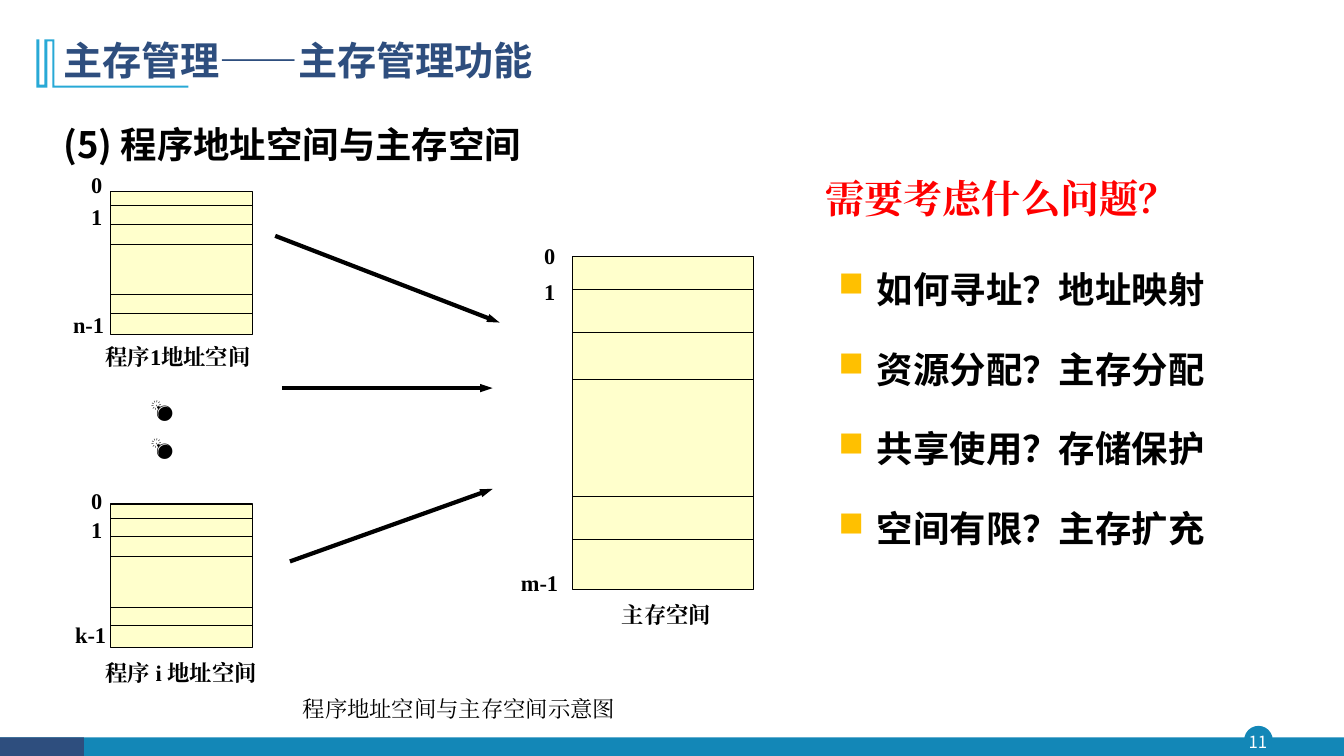
from dataclasses import dataclass

from lxml import etree
from pptx import Presentation
from pptx.dml.color import RGBColor
from pptx.enum.shapes import MSO_CONNECTOR, MSO_SHAPE
from pptx.enum.text import MSO_ANCHOR, PP_ALIGN
from pptx.oxml.ns import qn
from pptx.util import Emu, Inches, Pt

RECTANGLE, OVAL = MSO_SHAPE.RECTANGLE, MSO_SHAPE.OVAL
STRAIGHT = MSO_CONNECTOR.STRAIGHT
MIDDLE = MSO_ANCHOR.MIDDLE
CENTER, JUSTIFY = PP_ALIGN.CENTER, PP_ALIGN.JUSTIFY
SLIDE_WIDTH, SLIDE_HEIGHT = Emu(12192000), Inches(7.5)
COLUMNS, ROWS = 160, 90


@dataclass(frozen=True)
class Theme:
    sans: str = "Noto Sans CJK SC"
    serif: str = "Times New Roman"
    navy: str = "2E4E7E"
    teal: str = "1387B7"
    cyan: str = "28A9D6"
    cream: str = "FFFFCC"
    amber: str = "FFC000"
    red: str = "FF0000"
    black: str = "000000"
    white: str = "FFFFFF"
    title: int = 28
    body: int = 26
    label: int = 16
    number: int = 12
    body_line: int = 49


THEME = Theme()
DIVIDERS = (0.1, 0.23, 0.37, 0.72, 0.85)
LABEL_HEIGHT = 4.44


def col(count):
    return round(SLIDE_WIDTH * count / COLUMNS)


def row(count):
    return round(SLIDE_HEIGHT * count / ROWS)


def place(box):
    left, top, width, height = box
    return col(left), row(top), col(width), row(height)


def color(value):
    return RGBColor.from_string(value)


def apply(target, formats):
    for attribute, value in formats.items():
        setattr(target, attribute, value)


def add_bullet(paragraph):
    properties = paragraph._p.get_or_add_pPr()
    apply_indent(properties, Inches(0.38), -Inches(0.38))
    bullet_color = etree.SubElement(properties, qn("a:buClr"))
    etree.SubElement(bullet_color, qn("a:srgbClr"), val=THEME.amber)
    etree.SubElement(properties, qn("a:buSzPct"), val="95000")
    etree.SubElement(properties, qn("a:buChar"), char="■")


def apply_indent(properties, margin, indent):
    properties.set("marL", str(margin))
    properties.set("indent", str(indent))


def add_text(slide, box, lines, size=THEME.label, face=THEME.serif,
             ink=THEME.black, bold=True, bulleted=False, margin=0, gap=0,
             frame_format=None, paragraph_format=None):
    frame = slide.shapes.add_textbox(*place(box)).text_frame
    apply(frame, {"word_wrap": True, **(frame_format or {})})
    for index, line in enumerate(lines):
        paragraph = frame.add_paragraph() if index else frame.paragraphs[0]
        apply(paragraph, paragraph_format or {})
        if index and gap:
            paragraph.space_before = Pt(gap)
        if margin:
            apply_indent(paragraph._p.get_or_add_pPr(), Inches(margin), 0)
        if bulleted:
            add_bullet(paragraph)
        run = paragraph.add_run()
        run.text = line
        apply(run.font, {"size": Pt(size), "name": face, "bold": bold})
        run.font.color.rgb = color(ink)
        east_asian = etree.SubElement(run._r.get_or_add_rPr(), qn("a:ea"))
        east_asian.set("typeface", face)


def paint(shape, fill, outline=None, weight=0.75):
    shape.shadow.inherit = False
    shape.fill.solid()
    shape.fill.fore_color.rgb = color(fill)
    if outline:
        shape.line.color.rgb = color(outline)
        shape.line.width = Pt(weight)
    else:
        shape.line.fill.background()


def add_line(slide, start, end, weight=0.75, arrow=False):
    line = slide.shapes.add_connector(
        STRAIGHT, col(start[0]), row(start[1]), col(end[0]), row(end[1]))
    line.line.color.rgb = color(THEME.black)
    line.line.width = Pt(weight)
    if arrow:
        etree.SubElement(line.line._get_or_add_ln(), qn("a:tailEnd"),
                         type="triangle", w="sm", len="med")
    etree.SubElement(line._element.spPr, qn("a:effectLst"))


def add_footer(slide, box, number):
    left, top, width, height = box
    badge = (left + 148.2, top - 1.3, 3.24, 3.24)
    for kind, part, fill, outline in (
            (OVAL, badge, THEME.teal, THEME.teal),
            (RECTANGLE, box, THEME.teal, None),
            (RECTANGLE, (left, top, 10, height), THEME.navy, None)):
        paint(slide.shapes.add_shape(kind, *place(part)), fill, outline, 1)
    margins = dict.fromkeys(
        ("margin_left", "margin_top", "margin_right", "margin_bottom"), 0)
    add_text(slide, (left + 147.84, top - 1.3, 3.84, 3.7), [number],
             THEME.number, THEME.sans, THEME.white, False,
             frame_format={"vertical_anchor": MIDDLE, **margins},
             paragraph_format={"alignment": CENTER})


def add_heading(slide, box, title, subtitle):
    left, top, width, height = box
    corners = [(2.16, 0), (2.16, 5.52), (18.12, 5.52), (18.12, 5.76),
               (1.92, 5.76), (1.92, 0.24), (1.32, 0.24), (1.32, 5.76),
               (0, 5.76), (0, 0), (0.36, 0), (0.36, 5.4), (0.96, 5.4),
               (0.96, 0)]
    points = [(col(left + x), row(top + y)) for x, y in corners]
    builder = slide.shapes.build_freeform(*points[0])
    builder.add_line_segments(points[1:], close=True)
    paint(builder.convert_to_shape(), THEME.cyan)
    add_text(slide, (left + 2.04, top - 0.6, width, 6.72), [title],
             THEME.title, THEME.sans, THEME.navy,
             frame_format={"vertical_anchor": MIDDLE},
             paragraph_format={"line_spacing": 0.9})
    add_text(slide, (left + 2.04, top + 6.24, 85, 8.16), [subtitle],
             THEME.body, THEME.sans,
             paragraph_format={"alignment": JUSTIFY,
                               "line_spacing": Pt(THEME.body_line)})


def add_memory(slide, box, labels, caption, caption_box):
    left, top, width, height = box
    paint(slide.shapes.add_shape(RECTANGLE, *place(box)),
          THEME.cream, THEME.black)
    for share in DIVIDERS:
        level = top + height * share
        add_line(slide, (left, level), (left + width, level))
    for address, across, down, label_width in labels:
        add_text(slide, (left + across, top + down, label_width,
                         LABEL_HEIGHT), [address])
    across, down, caption_width = caption_box
    add_text(slide, (left + across, top + down, caption_width,
                     LABEL_HEIGHT), [caption])


def add_diagram(slide, box):
    left, top, width, height = box
    add_memory(slide, (left + 55, top + 7.68, 21.6, 39.72),
               [("0", -4.56, -2.28, 4.56), ("1", -4.56, 2.04, 4.56),
                ("m-1", -7.32, 36.72, 10.8)],
               "主存空间", (4.68, 40.44, 14.4))
    add_memory(slide, (left, top, 16.96, 17.04),
               [("0", -3.48, -3, 3.48), ("1", -3.48, 0.84, 3.48),
                ("n-1", -5.64, 13.68, 8.4)],
               "程序1地址空间", (-1.8, 17.52, 20.04))
    add_memory(slide, (left, top + 37.2, 16.96, 17.04),
               [("0", -3.48, -2.64, 3.48), ("1", -3.48, 0.84, 3.48),
                ("k-1", -5.4, 13.32, 8.4)],
               "程序 i 地址空间", (-1.8, 17.88, 21.24))
    add_text(slide, (left + 2.4, top + 23.64, 12.12, 9.24), ["💣", "💣"],
             face=THEME.sans, bold=False, margin=0.1, gap=8)
    for start, end in (((19.6, 5.28), (46.32, 15.6)),
                       ((20.4, 23.4), (45.5, 23.4)),
                       ((21.36, 44.04), (45.5, 35.4))):
        add_line(slide, (left + start[0], top + start[1]),
                 (left + end[0], top + end[1]), 3, True)
    add_text(slide, (left + 21.7, top + 59.4, 47.52, LABEL_HEIGHT),
             ["程序地址空间与主存空间示意图"], bold=False)


def add_questions(slide, box, prompt, questions):
    left, top, width, height = box
    add_text(slide, (left, top, 53, 7.44), [prompt], THEME.title,
             ink=THEME.red, paragraph_format={"line_spacing": 1.2})
    add_text(slide, (left + 1.56, top + 9.12, width - 1.56, height - 9.12),
             questions, THEME.body, THEME.sans, bulleted=True, gap=8,
             paragraph_format={"alignment": JUSTIFY,
                               "line_spacing": Pt(THEME.body_line)})


def main():
    presentation = Presentation()
    apply(presentation, {"slide_width": SLIDE_WIDTH,
                         "slide_height": SLIDE_HEIGHT})
    slide = presentation.slides.add_slide(presentation.slide_layouts[6])
    add_footer(slide, (0, 87.8, COLUMNS, 2.2), "11")
    add_heading(slide, (4.32, 4.68, 125.88, 5.76),
                "主存管理——主存管理功能", "(5) 程序地址空间与主存空间")
    add_diagram(slide, (13.16, 22.8, 76.6, 63.84))
    add_questions(slide, (97.08, 19.08, 55.68, 46.92), "需要考虑什么问题？",
                  ["如何寻址？地址映射", "资源分配？主存分配",
                   "共享使用？存储保护", "空间有限？主存扩充"])
    presentation.save("out.pptx")


if __name__ == "__main__":
    main()
